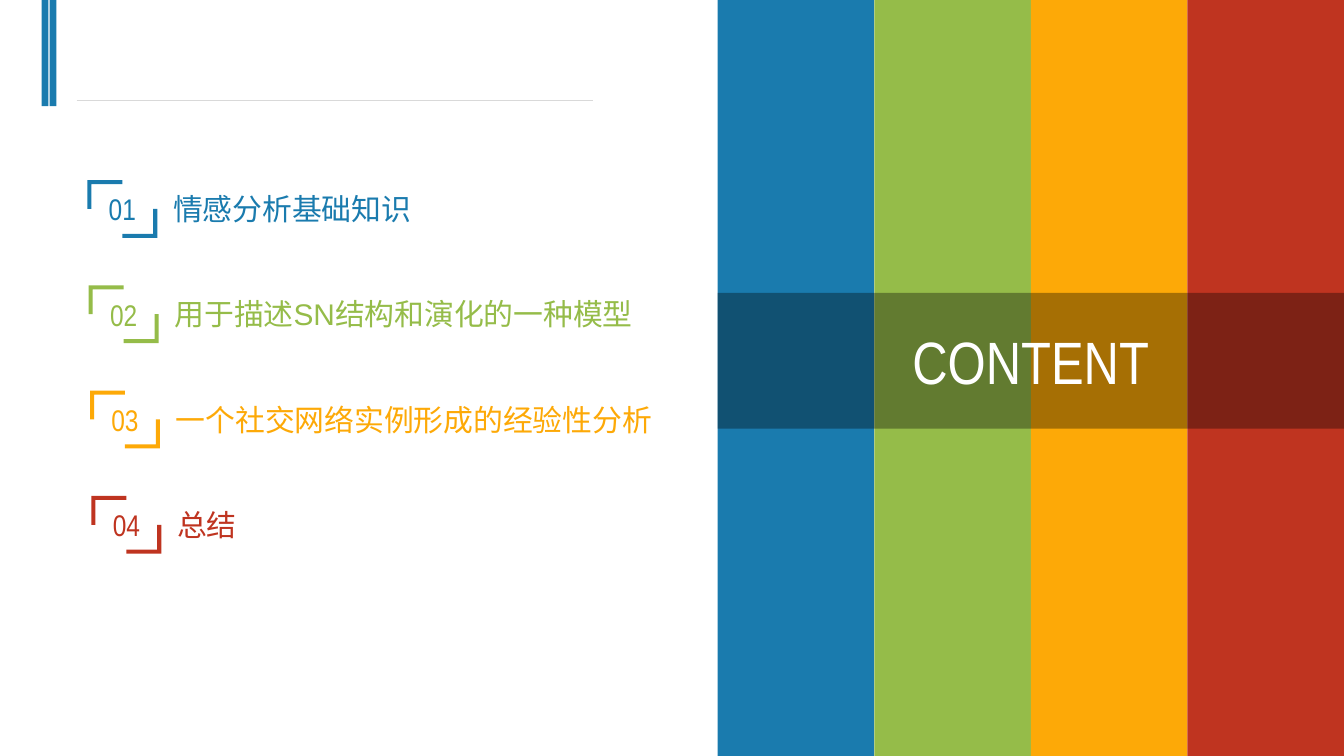
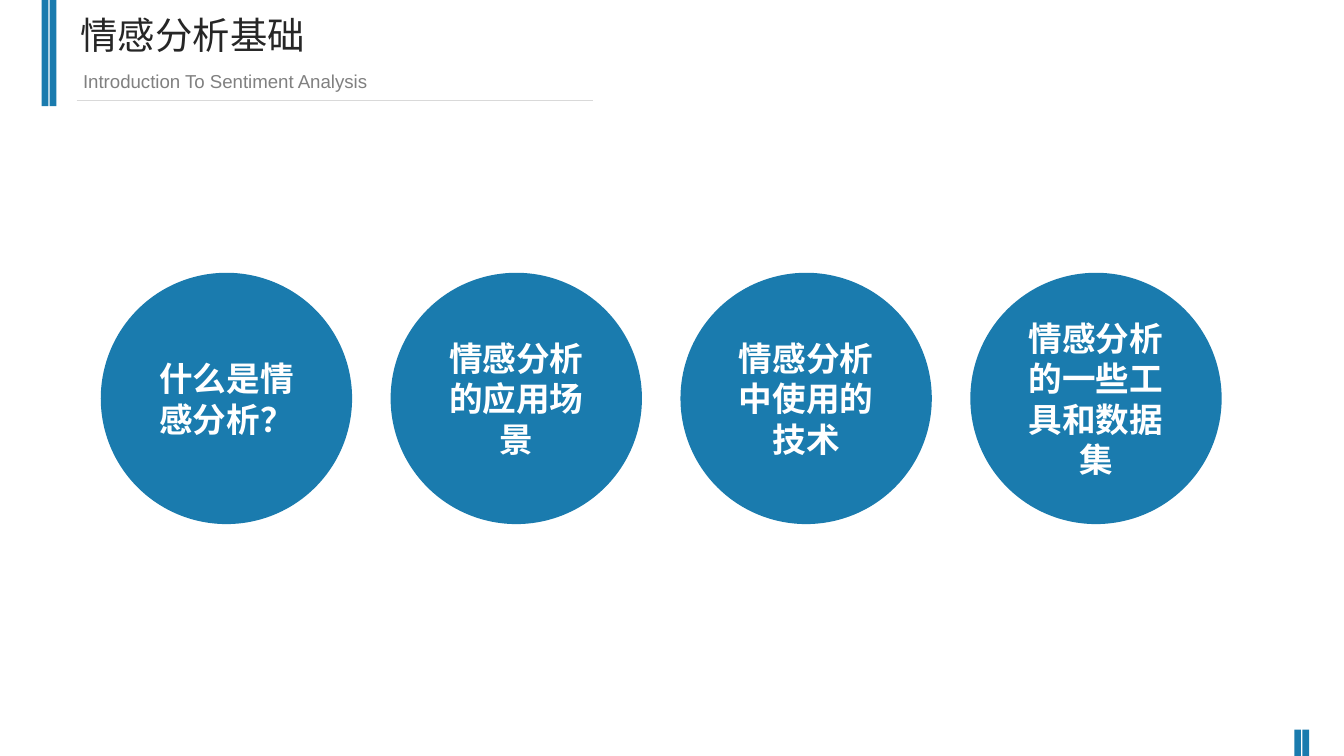
from dataclasses import dataclass

from lxml.etree import SubElement
from pptx import Presentation
from pptx.dml.color import RGBColor
from pptx.enum.shapes import MSO_CONNECTOR, MSO_SHAPE
from pptx.enum.text import MSO_ANCHOR, MSO_AUTO_SIZE, PP_ALIGN
from pptx.oxml.ns import qn
from pptx.util import Inches, Pt


@dataclass(frozen=True)
class Theme:
    blue: str = "1A7BAE"
    green: str = "95BC49"
    orange: str = "FDA907"
    red: str = "BF3420"
    white: str = "FFFFFF"
    black: str = "000000"
    rule: str = "D9D9D9"
    title: str = "262626"
    subtitle: str = "808080"
    body_font: str = "Arial"
    narrow_font: str = "Arial Narrow"
    content_size: int = 32
    title_size: int = 20
    circle_size: int = 18
    agenda_size: int = 16
    subtitle_size: int = 10


@dataclass(frozen=True)
class Area:
    left: float
    top: float
    width: float
    height: float

    def lengths(self) -> tuple:
        return tuple(Inches(v) for v in (self.left, self.top, self.width, self.height))


@dataclass(frozen=True)
class AgendaItem:
    label: str
    color: str


THEME = Theme()
PAGE_WIDTH = Inches(10)
PAGE_HEIGHT = PAGE_WIDTH * 9 // 16
TITLE_ONLY = 5

AGENDA = (
    AgendaItem("情感分析基础知识", THEME.blue),
    AgendaItem("用于描述SN结构和演化的一种模型", THEME.green),
    AgendaItem("一个社交网络实例形成的经验性分析", THEME.orange),
    AgendaItem("总结", THEME.red),
)
TOPICS = ("什么是情感分析？", "情感分析的应用场景", "情感分析中使用的技术", "情感分析的一些工具和数据集")


# Shared drawing functions
def write(box, text: str, *, size: int, color: str, font: str = THEME.body_font,
          bold: bool = False, centred: bool = False, grow: bool = False) -> None:
    frame = box.text_frame
    frame.word_wrap = True
    frame.auto_size = MSO_AUTO_SIZE.SHAPE_TO_FIT_TEXT if grow else MSO_AUTO_SIZE.NONE
    frame.vertical_anchor = MSO_ANCHOR.MIDDLE if centred else MSO_ANCHOR.TOP
    para = frame.paragraphs[0]
    para.alignment = PP_ALIGN.CENTER if centred else PP_ALIGN.LEFT
    span = para.add_run()
    span.text = text
    span.font.size = Pt(size)
    span.font.name = font
    span.font.bold = bold
    span.font.color.rgb = RGBColor.from_string(color)


def paint(shape, color: str) -> None:
    shape.shadow.inherit = False
    shape.fill.solid()
    shape.fill.fore_color.rgb = RGBColor.from_string(color)
    shape.line.fill.background()


def add_filled(page, kind: MSO_SHAPE, area: Area, color: str):
    shape = page.shapes.add_shape(kind, *area.lengths())
    paint(shape, color)
    return shape


def add_text(page, area: Area, text: str, **text_format) -> None:
    box = page.shapes.add_textbox(*area.lengths())
    write(box, text, grow=True, **text_format)


def place(shape, area: Area) -> None:
    shape.left, shape.top, shape.width, shape.height = area.lengths()


def add_bars(page, left: float, top: float, height: float) -> None:
    for offset in (0, 0.06):
        add_filled(page, MSO_SHAPE.RECTANGLE, Area(left + offset, top, 0.05, height), THEME.blue)


def add_page(deck):
    page = deck.slides.add_slide(deck.slide_layouts[TITLE_ONLY])
    add_bars(page, 0.31, 0, 0.79)
    rule = page.shapes.add_connector(
        MSO_CONNECTOR.STRAIGHT, Inches(0.57), Inches(0.75), Inches(4.41), Inches(0.75))
    rule.line.color.rgb = RGBColor.from_string(THEME.rule)
    rule.line.width = Pt(0.75)
    SubElement(rule.element.spPr, qn("a:effectLst"))
    return page


# Agenda slide
def add_number_frame(page, area: Area, number: str, color: str) -> None:
    thick = 0.03
    right, bottom = area.left + area.width, area.top + area.height
    middle_x, middle_y = area.left + area.width / 2, area.top + area.height / 2

    def corner(x: float, y: float, inward: float) -> list:
        points = ((x, y), (middle_x, y), (middle_x, y + inward), (x + inward, y + inward),
                  (x + inward, middle_y), (x, middle_y))
        return [(Inches(px), Inches(py)) for px, py in points]

    upper = corner(area.left, area.top, thick)
    lower = corner(right, bottom, -thick)
    builder = page.shapes.build_freeform(*upper[0])
    builder.add_line_segments(upper[1:])
    builder.move_to(*lower[0])
    builder.add_line_segments(lower[1:])
    frame = builder.convert_to_shape()
    paint(frame, color)
    write(frame, number, size=THEME.agenda_size, color=color,
          font=THEME.narrow_font, centred=True)


def build_agenda(deck) -> None:
    page = add_page(deck)
    pitch = (3.69 - 1.34) / (len(AGENDA) - 1)
    stripe_left = 5.34
    stripe_width = (10 - stripe_left) / len(AGENDA)
    for index, item in enumerate(AGENDA):
        left, top = 0.65 + 0.01 * index, 1.34 + pitch * index
        add_text(page, Area(left + 0.54, top + 0.03, 3.98, 0.37), item.label,
                 size=THEME.agenda_size, color=item.color)
        add_number_frame(page, Area(left, top, 0.52, 0.43), f"{index + 1:02d}", item.color)
        stripe = add_filled(
            page, MSO_SHAPE.RECTANGLE,
            Area(stripe_left + stripe_width * index, 0, stripe_width, 1), item.color)
        stripe.height = PAGE_HEIGHT

    # Translucent title band, brought in front of the stripes
    band = page.shapes.title
    place(band, Area(stripe_left, 2.18, 10 - stripe_left, 1.01))
    band.fill.solid()
    band.fill.fore_color.rgb = RGBColor.from_string(THEME.black)
    band_color = next(band.element.spPr.iter(qn("a:srgbClr")))
    SubElement(band_color, qn("a:alpha"), val="34000")
    write(band, "CONTENT", size=THEME.content_size, color=THEME.white,
          font=THEME.narrow_font, centred=True)
    band.element.getparent().append(band.element)


# Topics slide
def build_topics(deck) -> None:
    page = add_page(deck)
    add_bars(page, 9.63, 5.43, 0.2)
    title = page.shapes.title
    place(title, Area(0.5, 0.04, 4.23, 0.44))
    write(title, "情感分析基础", size=THEME.title_size, color=THEME.title,
          font=THEME.narrow_font, grow=True)
    add_text(page, Area(0.52, 0.47, 4.23, 0.27), "Introduction To Sentiment Analysis",
             size=THEME.subtitle_size, color=THEME.subtitle)

    pitch = (7.22 - 0.75) / (len(TOPICS) - 1)
    for index, topic in enumerate(TOPICS):
        circle = add_filled(page, MSO_SHAPE.OVAL,
                            Area(0.75 + pitch * index, 2.03, 1.87, 1.87), THEME.blue)
        write(circle, topic, size=THEME.circle_size, color=THEME.white,
              bold=True, centred=True)


def main() -> None:
    deck = Presentation()
    deck.slide_width = PAGE_WIDTH
    deck.slide_height = PAGE_HEIGHT
    build_agenda(deck)
    build_topics(deck)
    deck.save("out.pptx")


if __name__ == "__main__":
    main()
